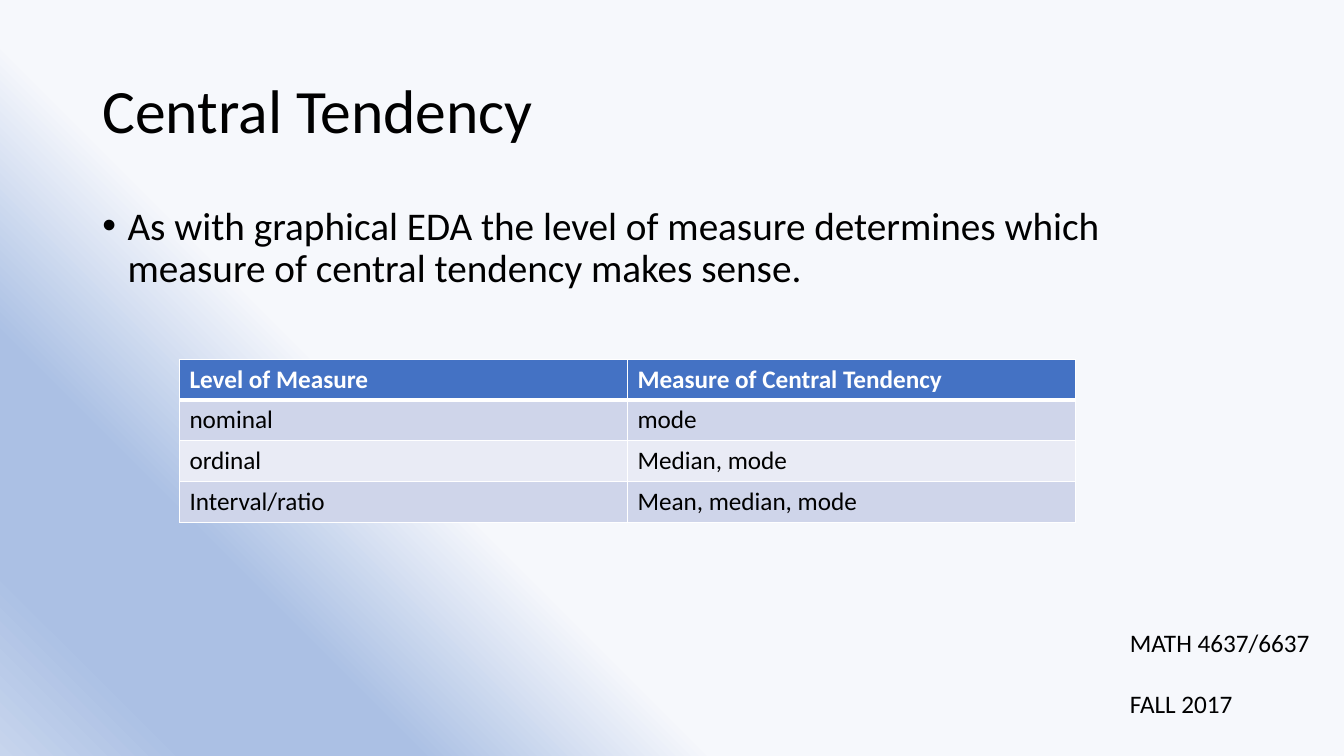
from dataclasses import dataclass

from lxml import etree
from pptx import Presentation
from pptx.dml.color import RGBColor
from pptx.enum.text import MSO_ANCHOR
from pptx.oxml import parse_xml
from pptx.oxml.ns import nsdecls, qn
from pptx.util import Inches, Pt

MIDDLE = MSO_ANCHOR.MIDDLE
TOP = MSO_ANCHOR.TOP
WIDE, HIGH = Inches(13.33), Inches(7.5)


@dataclass(frozen=True)
class Theme:
    """Colours, font and type sizes of the slide."""
    font: str = "Calibri"
    ink: str = "000000"
    white: str = "FFFFFF"
    head: str = "4472C4"
    bands: tuple = ("CFD5EA", "E9EBF5")
    stops: tuple = ((66, "F6F8FC"), (80, "ABC0E4"), (91, "ABC0E4"), (100, "C7D5ED"))
    angle: int = 135
    title: int = 44
    body: int = 28
    small: int = 18


THEME = Theme()
ROWS = (
    ("Level of Measure", "Measure of Central Tendency"),
    ("nominal", "mode"),
    ("ordinal", "Median, mode"),
    ("Interval/ratio", "Mean, median, mode"),
)


def place(left, top, width, height):
    """Turn percent shares of the slide into lengths."""
    return (int(WIDE * left / 100), int(HIGH * top / 100),
            int(WIDE * width / 100), int(HIGH * height / 100))


def write(frame, *lines, size, color=THEME.ink, bold=False, pitch=None,
          gap=None, bullet=None, anchor=TOP):
    """Fill a text frame with lines in one format."""
    frame.word_wrap = True
    frame.vertical_anchor = anchor
    for index, line in enumerate(lines):
        para = frame.add_paragraph() if index else frame.paragraphs[0]
        if bullet:
            props = para._p.get_or_add_pPr()
            props.set("marL", str(Inches(0.25)))
            props.set("indent", str(Inches(-0.25)))
            etree.SubElement(props, qn("a:buFont"), typeface="Arial")
            etree.SubElement(props, qn("a:buChar"), char=bullet)
        if pitch:
            para.line_spacing = pitch
        if gap and index:
            para.space_before = Pt(gap)
        run = para.add_run()
        run.text = line
        font = run.font
        font.name, font.size, font.bold = THEME.font, Pt(size), bold
        font.color.rgb = RGBColor.from_string(color)


def add_text(slide, area, *lines, **style):
    """Add a text box over an area given in percent."""
    box = slide.shapes.add_textbox(*place(*area))
    write(box.text_frame, *lines, **style)


def paint(slide):
    """Lay the slanted gradient on the slide background."""
    stops = "".join(
        f'<a:gs pos="{spot * 1000}"><a:srgbClr val="{color}"/></a:gs>'
        for spot, color in THEME.stops)
    slide.background.fill.solid()
    props = slide.background._cSld.bg.bgPr
    props.replace(props[0], parse_xml(
        f'<a:gradFill {nsdecls("a")} rotWithShape="1"><a:gsLst>{stops}</a:gsLst>'
        f'<a:lin ang="{THEME.angle * 60000}" scaled="0"/></a:gradFill>'))


def edge(cell, side, points):
    """Draw one white border of a cell."""
    line = etree.SubElement(cell._tc.get_or_add_tcPr(), qn(f"a:ln{side}"),
                            w=str(Pt(points)))
    fill = etree.SubElement(line, qn("a:solidFill"))
    etree.SubElement(fill, qn("a:srgbClr"), val=THEME.white)


def add_grid(slide, area, rows):
    """Add a banded table with a strong header row."""
    left, top, width, height = place(*area)
    table = slide.shapes.add_table(len(rows), len(rows[0]),
                                   left, top, width, height).table
    for r, row in enumerate(rows):
        head = r == 0
        shade = THEME.head if head else THEME.bands[(r - 1) % 2]
        weights = {"L": 1, "R": 1, "T": 3 if r == 1 else 1, "B": 3 if head else 1}
        for c, text in enumerate(row):
            cell = table.cell(r, c)
            for side, points in weights.items():
                edge(cell, side, points)
            cell.fill.solid()
            cell.fill.fore_color.rgb = RGBColor.from_string(shade)
            write(cell.text_frame, text, size=THEME.small, bold=head,
                  color=THEME.white if head else THEME.ink)


def main():
    """Build the slide and save it."""
    deck = Presentation()
    deck.slide_width, deck.slide_height = WIDE, HIGH
    slide = deck.slides.add_slide(deck.slide_layouts[6])
    paint(slide)
    add_text(slide, (83.33, 82.27, 16.67, 13.47), "MATH 4637/6637", "FALL 2017",
             size=THEME.small, gap=22)
    add_text(slide, (6.88, 5.32, 86.25, 19.33), "Central Tendency",
             size=THEME.title, pitch=0.9, anchor=MIDDLE)
    add_text(slide, (6.88, 26.62, 86.25, 63.45),
             "As with graphical EDA the level of measure determines which "
             "measure of central tendency makes sense.",
             size=THEME.body, pitch=0.9, bullet="•")
    add_grid(slide, (13.35, 47.5, 66.67, 21.6), ROWS)
    deck.save("out.pptx")


if __name__ == "__main__":
    main()
